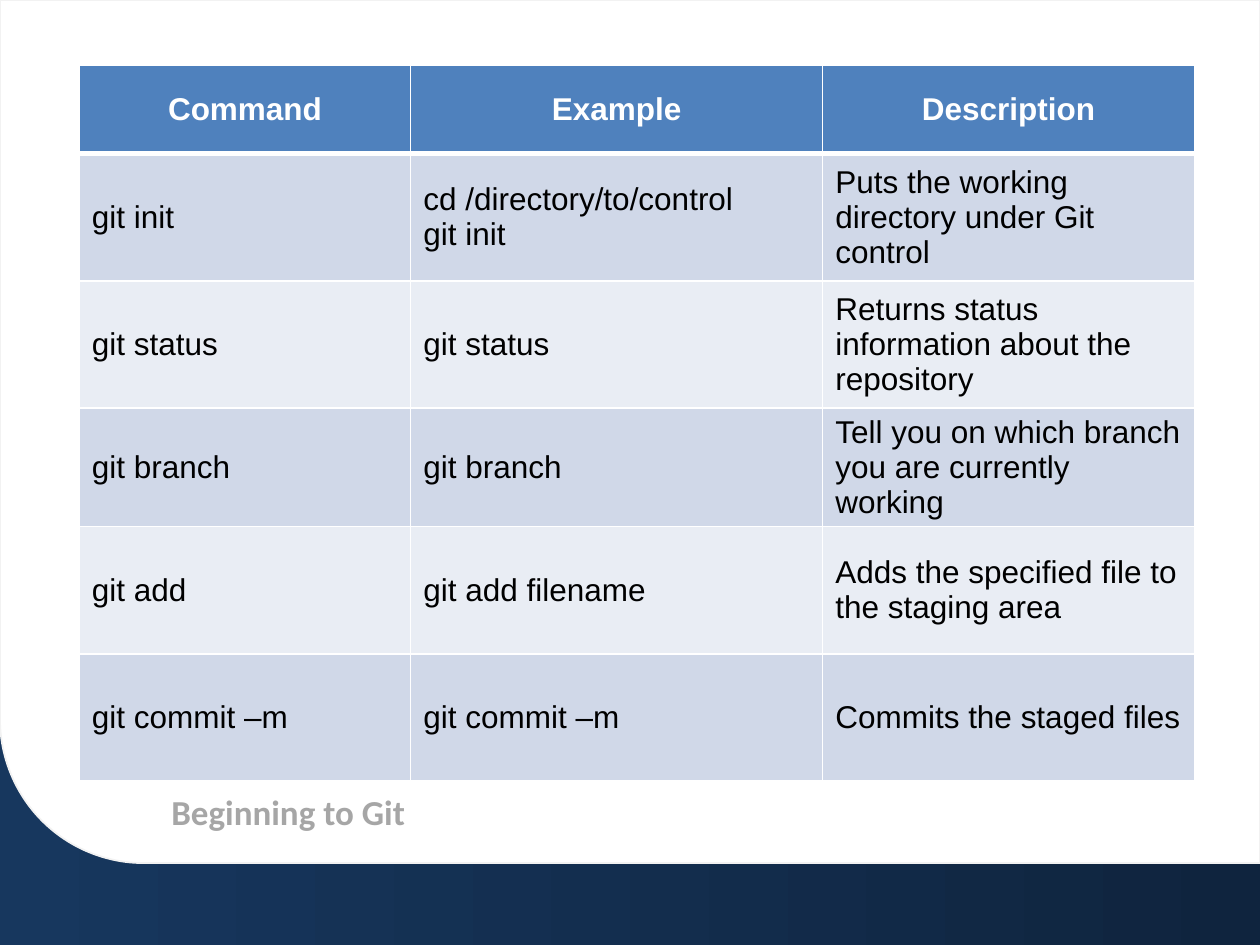
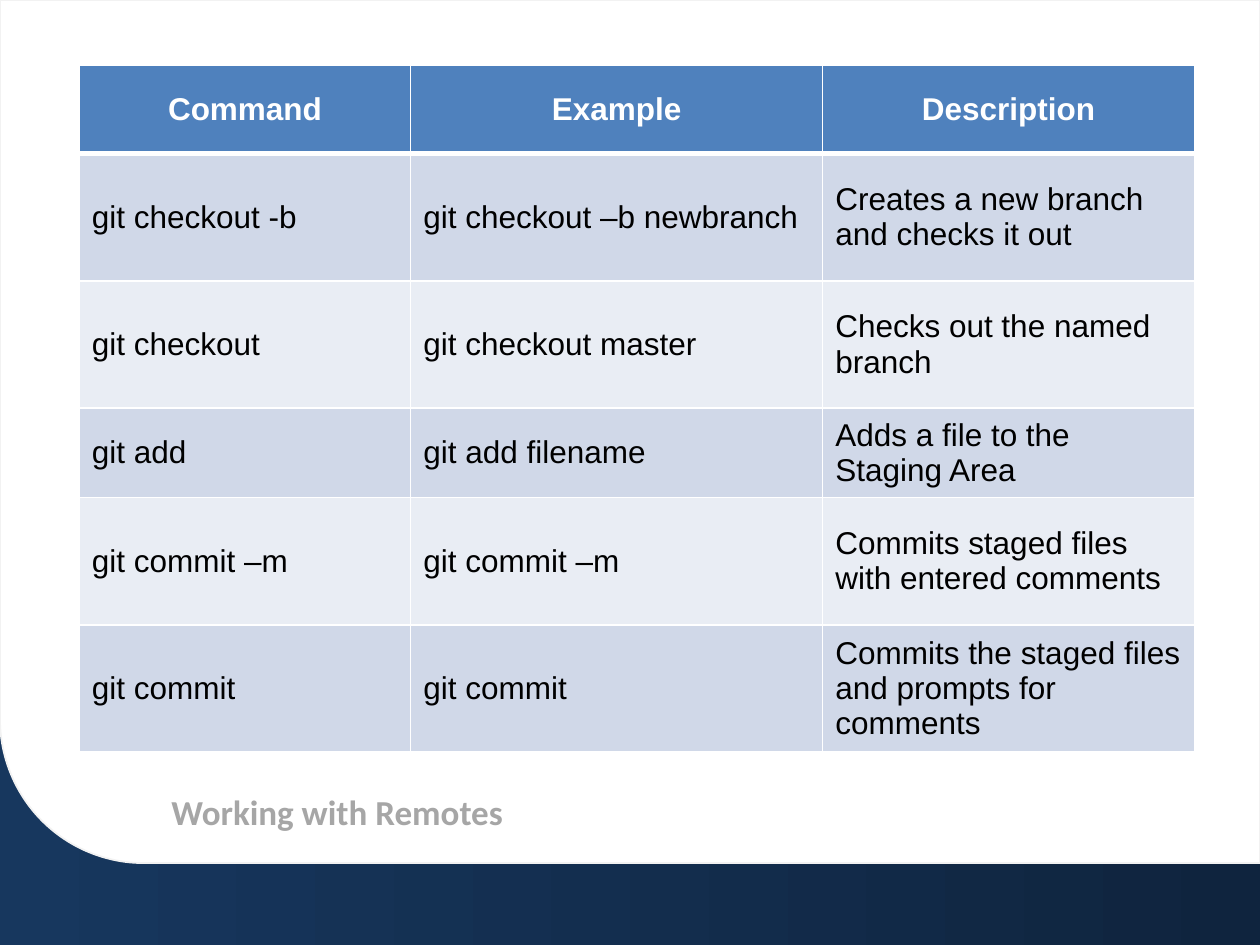
"""Build two slides of Git command tables on a shared rounded panel."""
from dataclasses import dataclass

from lxml import etree
from pptx import Presentation, util as u
from pptx.dml.color import RGBColor
from pptx.enum import shapes, text
from pptx.oxml.ns import qn

HEADER = ("Command", "Example", "Description")
SLIDES = [
    ("Beginning to Git", [
        ("git init", "cd /directory/to/control\ngit init",
         "Puts the working directory under Git control"),
        ("git status", "git status",
         "Returns status information about the repository"),
        ("git branch", "git branch",
         "Tell you on which branch you are currently working"),
        ("git add", "git add filename",
         "Adds the specified file to the staging area"),
        ("git commit –m", "git commit –m", "Commits the staged files"),
    ]),
    ("Working with Remotes", [
        ("git checkout -b", "git checkout –b newbranch",
         "Creates a new branch and checks it out"),
        ("git checkout", "git checkout master", "Checks out the named branch"),
        ("git add", "git add filename", "Adds a file to the Staging Area"),
        ("git commit –m", "git commit –m",
         "Commits staged files with entered comments"),
        ("git commit", "git commit",
         "Commits the staged files and prompts for comments"),
    ]),
]

SLIDE_SIZE = (10, 7.5)
PANEL_HEIGHT = 6.85
TITLE_BOX = (1.36, 6.27, 5.93, 0.41)
TABLE_ORIGIN = (0.63, 0.52)
COLUMN_WIDTHS = (2.63, 3.27, 2.95)
TALL_ROW, SHORT_ROW = 1.01, 0.71
ROW_HEIGHTS = (0.7, TALL_ROW, TALL_ROW, SHORT_ROW, TALL_ROW, TALL_ROW)


@dataclass(frozen=True)
class Theme:
    """Colours, fonts and sizes shared by the slides."""
    background: tuple = ("17375E", "0F243E")
    panel: str = "FFFFFF"
    panel_edge: str = "F2F2F2"
    title: str = "A6A6A6"
    header: str = "4F81BD"
    header_text: str = "FFFFFF"
    bands: tuple = ("D0D8E8", "E9EDF4")
    body_text: str = "000000"
    border: str = "FFFFFF"
    thin: float = 1
    thick: float = 3
    title_font: str = "Calibri"
    table_font: str = "Arial"
    title_size: float = 20
    table_size: float = 18


THEME = Theme()


def rgb(value):
    """Turn a hex string into a colour."""
    return RGBColor.from_string(value)


def inches(values):
    """Turn numbers into lengths in inches."""
    return [u.Inches(value) for value in values]


def style_paragraph(paragraph, name, size, color, bold, alignment):
    """Give a paragraph its alignment and its runs their font."""
    paragraph.alignment = alignment
    for run in paragraph.runs:
        run.font.name = name
        run.font.size = u.Pt(size)
        run.font.bold = bold
        run.font.color.rgb = rgb(color)


def paint_background(master):
    """Fill the master with the horizontal gradient."""
    fill = master.background.fill
    fill.gradient()
    fill.gradient_angle = 0
    for stop, color, position in zip(fill.gradient_stops, THEME.background, (0, 1)):
        stop.color.rgb = rgb(color)
        stop.position = position


def add_panel(slide):
    """Place the white panel with its rounded lower-left corner at the back."""
    panel = slide.shapes.add_shape(
        shapes.MSO_SHAPE.ROUND_1_RECTANGLE, 0, 0,
        *inches((SLIDE_SIZE[0], PANEL_HEIGHT)))
    panel.rotation = 180
    panel.shadow.inherit = False
    panel.fill.solid()
    panel.fill.fore_color.rgb = rgb(THEME.panel)
    panel.line.color.rgb = rgb(THEME.panel_edge)
    panel.line.width = u.Pt(THEME.thin)
    slide.shapes.title._element.addprevious(panel._element)


def set_title(slide, wording):
    """Write the title below the table."""
    title = slide.shapes.title
    title.left, title.top, title.width, title.height = inches(TITLE_BOX)
    frame = title.text_frame
    frame.text = wording
    frame.word_wrap = True
    frame.auto_size = text.MSO_AUTO_SIZE.NONE
    frame.vertical_anchor = text.MSO_ANCHOR.TOP
    frame.margin_left = frame.margin_top = frame.margin_right = frame.margin_bottom = 0
    style_paragraph(frame.paragraphs[0], THEME.title_font, THEME.title_size,
                    THEME.title, True, text.PP_ALIGN.LEFT)


def set_borders(cell, top, bottom):
    """Draw the four cell borders, with widths for top and bottom."""
    properties = cell._tc.get_or_add_tcPr()
    widths = {"lnL": THEME.thin, "lnR": THEME.thin, "lnT": top, "lnB": bottom}
    for index, (side, width) in enumerate(widths.items()):
        line = etree.Element(qn(f"a:{side}"), w=str(u.Pt(width)))
        fill = etree.SubElement(line, qn("a:solidFill"))
        etree.SubElement(fill, qn("a:srgbClr"), val=THEME.border)
        properties.insert(index, line)


def style_cell(cell, row_index):
    """Format a cell as part of the header or of a banded row."""
    header = row_index == 0
    cell.vertical_anchor = text.MSO_ANCHOR.MIDDLE
    cell.fill.solid()
    cell.fill.fore_color.rgb = rgb(
        THEME.header if header else THEME.bands[(row_index - 1) % 2])
    set_borders(cell,
                top=THEME.thick if row_index == 1 else THEME.thin,
                bottom=THEME.thick if header else THEME.thin)
    for paragraph in cell.text_frame.paragraphs:
        style_paragraph(
            paragraph, THEME.table_font, THEME.table_size,
            THEME.header_text if header else THEME.body_text, header,
            text.PP_ALIGN.CENTER if header else text.PP_ALIGN.LEFT)


def add_command_table(slide, commands):
    """Add the table of commands under its header row."""
    rows = [HEADER, *commands]
    size = (sum(COLUMN_WIDTHS), sum(ROW_HEIGHTS))
    table = slide.shapes.add_table(
        len(rows), len(HEADER), *inches(TABLE_ORIGIN + size)).table
    for column, width in zip(table.columns, inches(COLUMN_WIDTHS)):
        column.width = width
    for row, height in zip(table.rows, inches(ROW_HEIGHTS)):
        row.height = height
    for row_index, row in enumerate(rows):
        for column_index, wording in enumerate(row):
            cell = table.cell(row_index, column_index)
            cell.text_frame.text = wording
            style_cell(cell, row_index)


def main():
    """Build and save the presentation."""
    presentation = Presentation()
    presentation.slide_width, presentation.slide_height = inches(SLIDE_SIZE)
    paint_background(presentation.slide_master)
    title_only = presentation.slide_layouts.get_by_name("Title Only")
    for title, commands in SLIDES:
        slide = presentation.slides.add_slide(title_only)
        add_panel(slide)
        set_title(slide, title)
        add_command_table(slide, commands)
    presentation.save("out.pptx")


if __name__ == "__main__":
    main()
